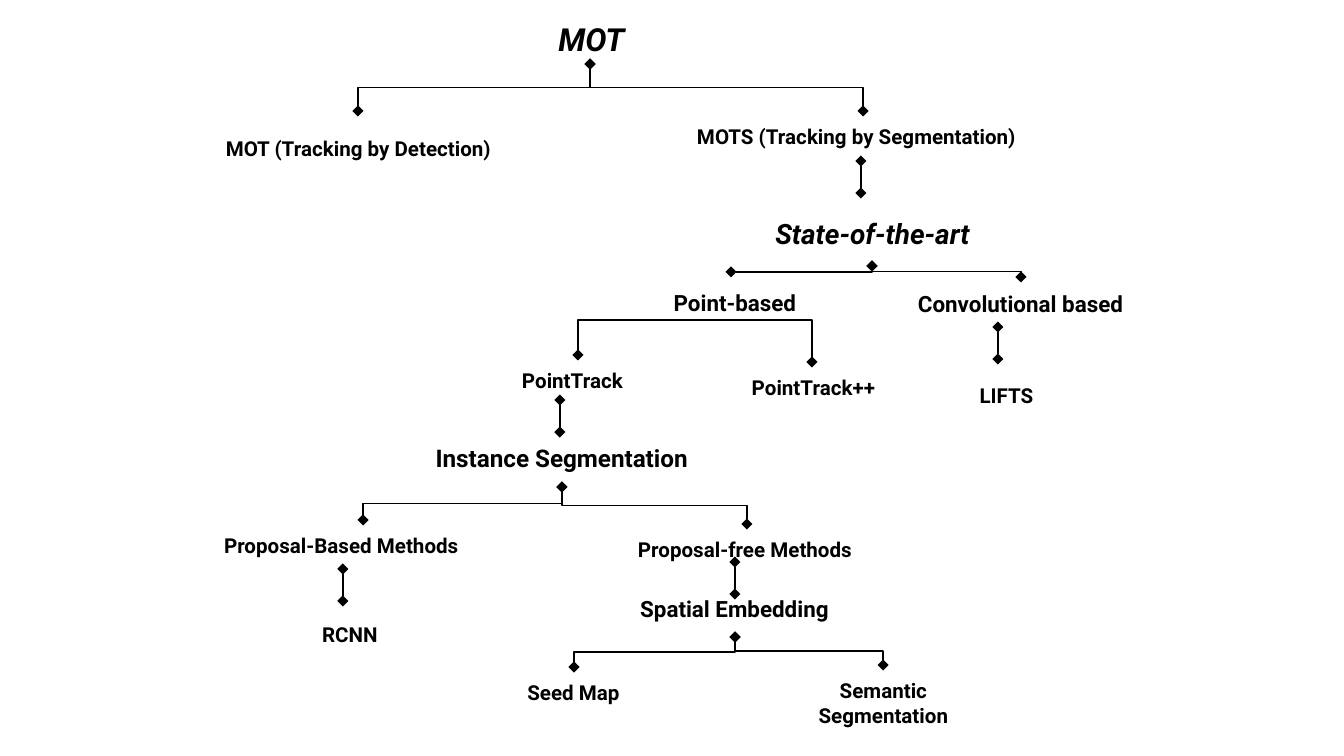
from dataclasses import dataclass

from lxml import etree
from pptx import Presentation
from pptx import util as u
from pptx.dml.color import RGBColor
from pptx.enum import shapes, text
from pptx.oxml import ns

PX = 914400 / 134.4
COLORS = {"ink": "000000", "paper": "FFFFFF"}
LEFT, CENTER = text.PP_ALIGN.LEFT, text.PP_ALIGN.CENTER
TOP, MIDDLE = text.MSO_ANCHOR.TOP, text.MSO_ANCHOR.MIDDLE


def px(length):
    """Turn a length in px into EMU."""
    return u.Emu(round(length * PX))


def rgb(name):
    """Look up a palette colour."""
    return RGBColor.from_string(COLORS[name])


def write(shape, wording, size, italic=False, align=CENTER, anchor=MIDDLE):
    """Set the single bold paragraph of a label."""
    frame = shape.text_frame
    frame.text = wording
    frame.word_wrap = True
    frame.auto_size = text.MSO_AUTO_SIZE.NONE
    frame.vertical_anchor = anchor
    frame.margin_left = frame.margin_right = px(13)
    frame.margin_top = frame.margin_bottom = px(13)
    paragraph = frame.paragraphs[0]
    paragraph.alignment = align
    font = paragraph.font
    font.name, font.size = "Roboto", u.Pt(size)
    font.bold, font.italic = True, italic
    font.color.rgb = rgb("ink")


def style_link(link):
    """Give a link its thin line and diamond ends, without a shadow."""
    link.line.color.rgb = rgb("ink")
    link.line.width = u.Pt(0.75)
    outline = link.line._get_or_add_ln()
    for end in ("a:headEnd", "a:tailEnd"):
        etree.SubElement(outline, ns.qn(end), type="diamond")
    etree.SubElement(link._element.spPr, ns.qn("a:effectLst"))


@dataclass
class Region:
    """A part of the tree, whose lengths count from its top left corner."""
    slide: object
    left: int
    top: int

    def box(self, x, y, width, height):
        """Return a region box in EMU."""
        return px(self.left + x), px(self.top + y), px(width), px(height)

    def label(self, wording, box, size=11, **style):
        """Add a text label."""
        write(self.slide.shapes.add_textbox(*self.box(*box)), wording, size, **style)

    def elbow(self, start, end):
        """Add a styled elbow connector between two points."""
        ends = [px(v) for x, y in (start, end) for v in (self.left + x, self.top + y)]
        link = self.slide.shapes.add_connector(shapes.MSO_CONNECTOR.ELBOW, *ends)
        style_link(link)
        return link

    def drop(self, start, end, bend=None):
        """Link two points with a path that leaves and arrives vertically."""
        (x1, y1), (x2, y2) = start, end
        half_span, half_rise = abs(x2 - x1) / 2, (y2 - y1) / 2
        middle_x, middle_y = (x1 + x2) / 2, (y1 + y2) / 2
        rightward = x2 >= x1
        reach = half_rise if rightward else -half_rise
        link = self.elbow((middle_x + reach, middle_y - half_span),
                          (middle_x - reach, middle_y + half_span))
        link._element.spPr.xfrm.set("rot", str((270 if rightward else 90) * 60000))
        if bend is not None:
            share = round((bend - y1) / (y2 - y1) * 100000)
            guides = link._element.spPr.prstGeom.get_or_add_avLst()
            etree.SubElement(guides, ns.qn("a:gd"), name="adj1", fmla=f"val {share}")

    def fork(self, start, *ends):
        """Drop from one parent point to several children."""
        for end in ends:
            self.drop(start, end)


def tracking_families(slide, left, top):
    """Place the root and the two families of tracking."""
    region = Region(slide, left, top)
    region.fork((400, 64), (673, 111), (168, 111))
    root = slide.shapes.title
    root.left, root.top, root.width, root.height = region.box(333, 13, 137, 51)
    write(root, "MOT", 17, italic=True)
    region.label("MOT (Tracking by Detection)", (0, 123, 337, 51))
    region.label("MOTS (Tracking by Segmentation)", (494, 111, 358, 51), align=LEFT)
    region.drop((671, 161), (671, 193))


def state_of_the_art(slide, left, top):
    """Place the point-based and convolutional trackers."""
    region = Region(slide, left, top)
    corner = region.elbow((231, 72), (372, 66))
    corner._element.spPr.prstGeom.set("prst", "bentConnector2")
    region.drop((372, 66), (521, 77))
    region.label("State-of-the-art", (232, 4, 281, 60), 15, italic=True, anchor=TOP)
    region.label("Point-based", (155, 77, 160, 51), 12)
    region.label("Convolutional based", (403, 77, 235, 54), 12, anchor=TOP)
    point_track = slide.shapes.add_shape(
        shapes.MSO_SHAPE.RECTANGLE, *region.box(9, 155, 137, 51))
    point_track.shadow.inherit = False
    point_track.fill.background()
    point_track.line.color.rgb = rgb("paper")
    point_track.line.width = u.Pt(0.75)
    write(point_track, "PointTrack", 11, align=LEFT)
    region.label("PointTrack++", (230, 162, 167, 51))
    region.label("LIFTS", (438, 170, 137, 51))
    region.drop((78, 155), (312, 162), bend=120)
    region.drop((498, 127), (498, 159))
    region.drop((60, 200), (60, 232))


def instance_segmentation(slide, left, top):
    """Place the segmentation methods and their parts."""
    region = Region(slide, left, top)
    region.label("Instance Segmentation", (203, 0, 317, 56), 13, anchor=TOP)
    region.fork((362, 57), (163, 90), (547, 94))
    region.label("Proposal-Based Methods", (11, 90, 302, 52), align=LEFT, anchor=TOP)
    region.label("Proposal-free Methods", (425, 94, 245, 52), align=LEFT, anchor=TOP)
    region.drop((143, 139), (143, 171))
    region.label("RCNN", (109, 179, 179, 52), align=LEFT, anchor=TOP)
    region.drop((535, 132), (535, 164))
    region.label("Spatial Embedding", (394, 152, 281, 54), 12, anchor=TOP)
    region.fork((535, 207), (374, 237), (683, 235))
    region.label("Seed Map", (305, 237, 137, 51))
    region.label("Semantic Segmentation", (578, 235, 211, 77), anchor=TOP)


def main():
    """Build the taxonomy slide."""
    deck = Presentation()
    deck.slide_width, deck.slide_height = px(1344), px(756)
    slide = deck.slides.add_slide(deck.slide_layouts.get_by_name("Title Only"))
    tracking_families(slide, 190, 0)
    state_of_the_art(slide, 500, 200)
    instance_segmentation(slide, 200, 430)
    deck.save("out.pptx")


if __name__ == "__main__":
    main()
